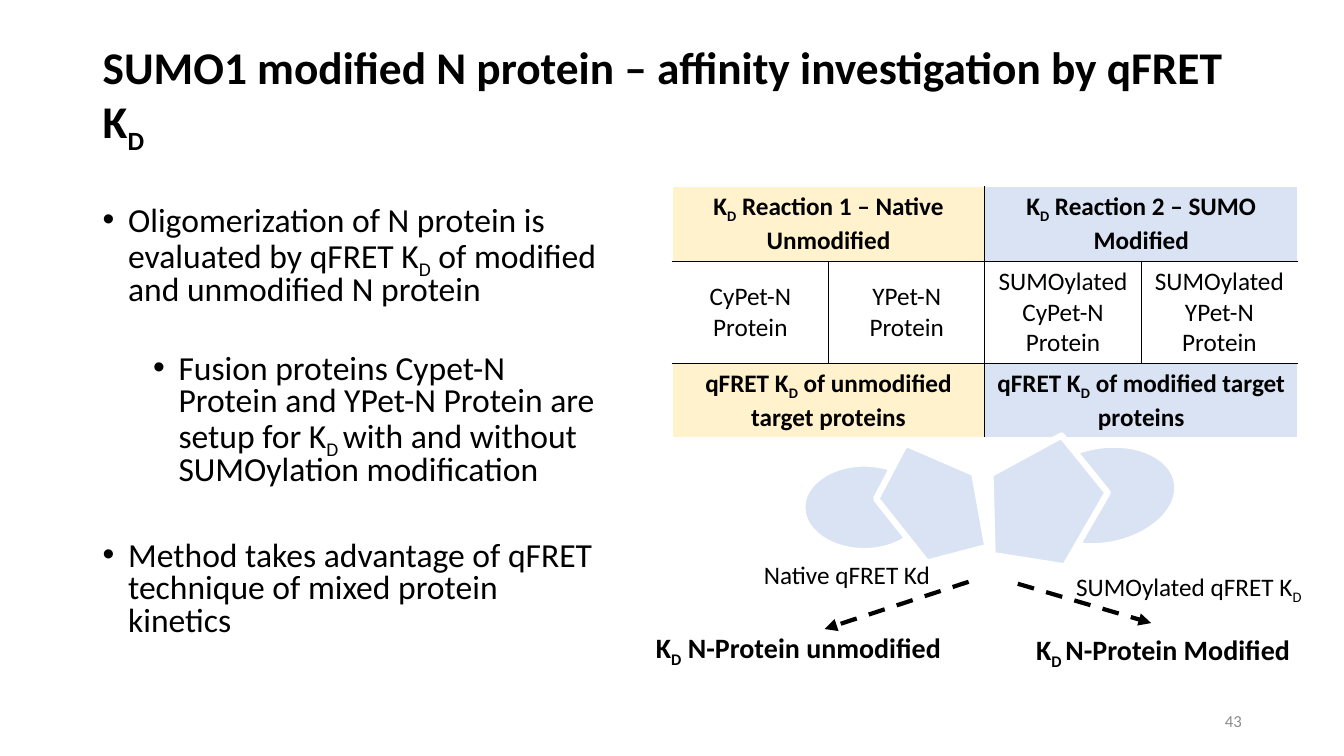
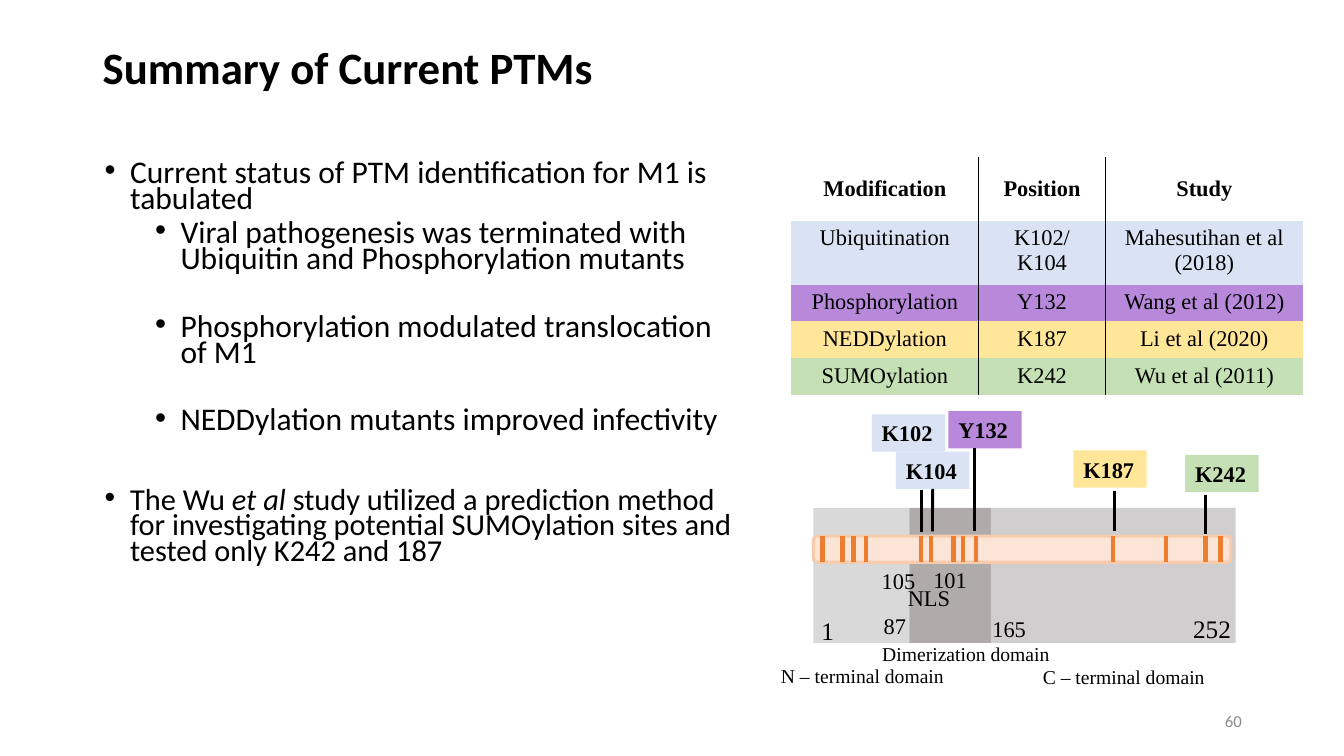
from itertools import accumulate

from lxml import etree
from pptx import Presentation
from pptx import util as u
from pptx.dml.color import RGBColor
from pptx.enum import dml, shapes, text
from pptx.oxml.ns import qn

COLOURS = {
    "ink": "000000", "paper": "FFFFFF", "page": "8C8C8C",
    "blue": "DAE3F3", "cream": "FFF2CC", "purple": "B889DB",
    "yellow": "FFE699", "green": "C5E0B4",
    "n_domain": "D9D9D9", "dimer_domain": "AFABAB", "c_domain": "D0CECE",
    "protein": "FBE5D6", "protein_edge": "F8CBAD", "site": "ED7D31",
}
SANS, SERIF = "Calibri", "Times New Roman"
LEFT, CENTER, RIGHT = text.PP_ALIGN.LEFT, text.PP_ALIGN.CENTER, text.PP_ALIGN.RIGHT
TOP, MIDDLE = text.MSO_ANCHOR.TOP, text.MSO_ANCHOR.MIDDLE
PLAIN_TABLE = "{2D5ABB26-0587-4C30-8999-92F81FD0307C}"


def rgb(name):
    return RGBColor.from_string(COLOURS[name])


def cm(*lengths):
    return [u.Cm(length) for length in lengths]


def write(paragraph, marked, size, font=SANS, bold=False, colour="ink"):
    """Add runs: text between ~ marks is subscript, between * marks italic."""
    for i, stretch in enumerate(marked.split("~")):
        for j, words in enumerate(stretch.split("*")):
            if not words:
                continue
            run = paragraph.add_run()
            run.text = words
            run.font.size, run.font.name = u.Pt(size), font
            run.font.bold, run.font.color.rgb = bold, rgb(colour)
            if j % 2:
                run.font.italic = True
            if i % 2:
                run._r.get_or_add_rPr().set("baseline", "-25000")


def add_label(slide, box, marked, size, font=SANS, bold=False, colour="ink",
              align=LEFT, anchor=TOP):
    frame = slide.shapes.add_textbox(*cm(*box)).text_frame
    frame.word_wrap, frame.vertical_anchor = True, anchor
    paragraph = frame.paragraphs[0]
    paragraph.alignment = align
    write(paragraph, marked, size, font, bold, colour)
    return paragraph


def add_block(slide, preset, box, fill, edge=None, edge_width=0, rotation=0):
    block = slide.shapes.add_shape(preset, *cm(*box))
    block.shadow.inherit = False
    block.fill.solid()
    block.fill.fore_color.rgb = rgb(fill)
    block.rotation = rotation
    if edge:
        block.line.color.rgb, block.line.width = rgb(edge), u.Pt(edge_width)
    else:
        block.line.fill.background()
    return block


def add_line(slide, start, end, width, colour="ink", dashed_arrow=False):
    line = slide.shapes.add_connector(
        shapes.MSO_CONNECTOR.STRAIGHT, *cm(*start, *end))
    line.line.color.rgb, line.line.width = rgb(colour), u.Pt(width)
    if dashed_arrow:
        line.line.dash_style = dml.MSO_LINE.DASH
        tail = etree.SubElement(line.line._get_or_add_ln(), qn("a:tailEnd"))
        tail.set("type", "triangle")
    etree.SubElement(line._element.spPr, qn("a:effectLst"))
    return line


def add_frame(prs, title, size, page):
    """Add a slide with the shared title and page number."""
    slide = prs.slides.add_slide(prs.slide_layouts[6])
    heading = add_label(slide, (2.34, 1.02, 30, 3.68), title, size, bold=True)
    heading.line_spacing = 0.9
    add_label(slide, (23.93, 17.65, 7.62, 1.02), str(page), 12,
              colour="page", align=RIGHT, anchor=MIDDLE)
    return slide


def add_bullets(slide, box, points, line_spacing):
    """Points are (level, size, space before, marked text)."""
    frame = slide.shapes.add_textbox(*cm(*box)).text_frame
    frame.word_wrap = True
    for i, (level, size, before, marked) in enumerate(points):
        paragraph = frame.add_paragraph() if i else frame.paragraphs[0]
        paragraph.level = level
        paragraph.line_spacing = line_spacing
        paragraph.space_before = u.Pt(before)
        props = paragraph._p.get_or_add_pPr()
        props.set("marL", str(u.Cm((0.64, 1.91)[level])))
        props.set("indent", str(-u.Cm(0.64)))
        etree.SubElement(props, qn("a:buFont")).set("typeface", "Arial")
        etree.SubElement(props, qn("a:buChar")).set("char", "•")
        write(paragraph, marked, size)


def add_grid(slide, left, top, widths, heights):
    table = slide.shapes.add_table(
        len(heights), len(widths),
        *cm(left, top, sum(widths), sum(heights))).table
    table.first_row = table.horz_banding = False
    table._tbl.tblPr.find(qn("a:tableStyleId")).text = PLAIN_TABLE
    for column, width in zip(table.columns, widths):
        column.width = u.Cm(width)
    for row, height in zip(table.rows, heights):
        row.height = u.Cm(height)
    return table


def fill_cell(cell, marked, size, font, bold, fill, anchor, borders):
    """Borders maps a side (L, R, T or B) to its colour."""
    props = cell._tc.get_or_add_tcPr()
    for side in "LRTB":
        if side in borders:
            edge = etree.SubElement(props, qn(f"a:ln{side}"), w=str(u.Pt(1)))
            paint = etree.SubElement(edge, qn("a:solidFill"))
            etree.SubElement(paint, qn("a:srgbClr"), val=COLOURS[borders[side]])
    if fill:
        cell.fill.solid()
        cell.fill.fore_color.rgb = rgb(fill)
    else:
        cell.fill.background()
    cell.vertical_anchor = anchor
    for i, line in enumerate(marked.split("\n")):
        frame = cell.text_frame
        paragraph = frame.add_paragraph() if i else frame.paragraphs[0]
        paragraph.alignment = CENTER
        write(paragraph, line, size, font, bold)


def add_reaction_table(slide, left, top):
    rows = [
        ["K~D~ Reaction 1 – Native Unmodified", "K~D~ Reaction 2 – SUMO Modified"],
        ["CyPet-N Protein", "YPet-N Protein",
         "SUMOylated CyPet-N Protein", "SUMOylated YPet-N Protein"],
        ["qFRET K~D~ of unmodified target proteins",
         "qFRET K~D~ of modified target proteins"],
    ]
    columns = 4
    table = add_grid(slide, left, top, [3.94] * columns, [1.88, 2.57, 1.88])
    for r, row in enumerate(rows):
        span = columns // len(row)
        for i, words in enumerate(row):
            c = i * span
            if span > 1:
                table.cell(r, c).merge(table.cell(r, c + span - 1))
            outer = {"L": c == 0, "R": c + span == columns,
                     "T": r == 0, "B": r == len(rows) - 1}
            borders = {side: "paper" if edge else "ink"
                       for side, edge in outer.items()}
            fill = ("cream", "blue")[i] if span > 1 else None
            fill_cell(table.cell(r, c), words, 18, SANS, span > 1, fill,
                      MIDDLE, borders)


def add_binding_diagram(slide, left, top):
    oval, pentagon = shapes.MSO_SHAPE.OVAL, shapes.MSO_SHAPE.REGULAR_PENTAGON
    for preset, x, y, width, height, rotation in [
            (oval, 3.94, 0.48, 3.12, 2.21, 0),
            (pentagon, 5.69, 0.28, 3.33, 2.34, 51.6),
            (oval, 9.63, 0.03, 3.78, 2.51, 349.5),
            (pentagon, 8.15, 0.05, 3.48, 2.79, 300)]:
        add_block(slide, preset, (left + x, top + y, width, height), "blue",
                  "paper", 4.5, rotation)
    for x1, y1, x2, y2 in [(8.13, 3.46, 4.5, 4.65), (9.37, 3.51, 12.73, 4.5)]:
        add_line(slide, (left + x1, top + y1), (left + x2, top + y2), 3,
                 dashed_arrow=True)
    for x, y, width, size, bold, words in [
            (10.59, 3.07, 6.68, 18, False, "SUMOylated qFRET K~D~"),
            (2.72, 2.77, 6.15, 18, False, "Native qFRET Kd"),
            (0, 4.57, 8, 20, True, "K~D~ N-Protein unmodified"),
            (9.58, 4.62, 8, 20, True, "K~D ~N-Protein Modified")]:
        add_label(slide, (left + x, top + y, width, 1.1), words, size, bold=bold)


def add_ptm_table(slide, left, top):
    rows = [
        (None, "Modification", "Position", "Study"),
        ("blue", "Ubiquitination", "K102/\nK104", "Mahesutihan et al (2018)"),
        ("purple", "Phosphorylation", "Y132", "Wang et al (2012)"),
        ("yellow", "NEDDylation", "K187", "Li et al (2020)"),
        ("green", "SUMOylation", "K242", "Wu et al (2011)"),
    ]
    table = add_grid(slide, left, top, [4.72, 3.2, 4.98],
                     [1.6, 1.6, 0.93, 0.93, 0.93])
    inner_sides = ["R", "LR", "L"]
    for r, (fill, *row) in enumerate(rows):
        header = r == 0
        for c, words in enumerate(row):
            fill_cell(table.cell(r, c), words, 16, SERIF, header, fill,
                      MIDDLE if header else TOP,
                      dict.fromkeys(inner_sides[c], "ink"))


def add_domain_map(slide, left, top):
    rectangle = shapes.MSO_SHAPE.RECTANGLE
    widths = [2.42, 2.05, 6.17]
    starts = accumulate(widths, initial=0)
    for x, width, fill in zip(starts, widths,
                              ["n_domain", "dimer_domain", "c_domain"]):
        add_block(slide, rectangle, (left + x, top + 2.44, width, 3.4), fill)

    tag_width, tag_height = 1.85, 0.94
    tags = {}
    for site, x, y, fill in [
            ("K102", 1.47, 0.08, "blue"), ("K104", 2.08, 1.02, "blue"),
            ("Y132", 3.4, 0, "purple"), ("K187", 6.55, 0.99, "yellow"),
            ("K242", 9.37, 1.1, "green")]:
        tag = add_block(slide, rectangle,
                        (left + x, top + y, tag_width, tag_height), fill)
        tag.text_frame.word_wrap = True
        paragraph = tag.text_frame.paragraphs[0]
        paragraph.alignment = LEFT
        write(paragraph, site, 16, SERIF, True)
        tags[site] = tag

    stems = {}
    for site, x, y1, y2 in [
            ("K102", 2.72, 1.98, 3.05), ("K104", 3, 1.96, 3.03),
            ("Y132", 4.06, 0.94, 3.03), ("K187", 7.59, 2.01, 3.03),
            ("K242", 9.88, 2.11, 3.1)]:
        stems[site] = add_line(slide, (left + x, top + y1), (left + x, top + y2), 2)
    stems["K104"].begin_connect(tags["K104"], 2)

    for x, y, width, size, align, words in [
            (-1.07, 6.25, 6.27, 14, LEFT, "N – terminal domain"),
            (5.53, 6.28, 6.27, 14, LEFT, "C – terminal domain"),
            (0.71, 5.69, 6.27, 14, CENTER, "Dimerization domain"),
            (-0.05, 5.01, 0.9, 18, LEFT, "1"),
            (1.52, 4.93, 1.22, 16, LEFT, "87"),
            (4.26, 5.01, 1.78, 16, LEFT, "165"),
            (9.32, 4.96, 1.78, 18, LEFT, "252"),
            (2.77, 3.79, 1.5, 16, LEFT, "101"),
            (1.47, 3.81, 1.68, 16, LEFT, "105"),
            (2.13, 4.24, 2.08, 16, LEFT, "NLS")]:
        add_label(slide, (left + x, top + y, width, 0.94), words, size, SERIF,
                  align=align)

    bar_top, bar_height = top + 3.15, 0.66
    add_block(slide, shapes.MSO_SHAPE.ROUNDED_RECTANGLE,
              (left, bar_top, 10.52, bar_height), "protein", "protein_edge", 2.25)
    for x in [0.23, 0.73, 1.01, 1.32, 2.72, 2.97, 3.53, 3.76, 4.09,
              7.54, 8.89, 9.88, 10.26]:
        add_line(slide, (left + x, bar_top), (left + x, bar_top + bar_height),
                 3, "site")


def build_affinity_slide(prs):
    slide = add_frame(
        prs, "SUMO1 modified N protein – affinity investigation by qFRET K~D~",
        32.4, 43)
    add_bullets(slide, (2.34, 5.08, 13.16, 12.09), [
        (0, 24, 0, "Oligomerization of N protein is evaluated by qFRET K~D~ of "
                   "modified and unmodified N protein"),
        (1, 24, 33.4, "Fusion proteins Cypet-N Protein and YPet-N Protein are "
                      "setup for K~D ~with and without SUMOylation modification"),
        (0, 24, 38.4, "Method takes advantage of qFRET technique of mixed "
                      "protein kinetics"),
    ], 0.8)
    add_reaction_table(slide, 16.94, 4.7)
    add_binding_diagram(slide, 16.28, 11.2)


def build_summary_slide(prs):
    slide = add_frame(prs, "Summary of Current PTMs", 32, 60)
    add_bullets(slide, (2.39, 3.96, 16.46, 12.09), [
        (0, 22.5, 0, "Current status of PTM identification for M1 is tabulated"),
        (1, 22.5, 5, "Viral pathogenesis was terminated with Ubiquitin and "
                     "Phosphorylation mutants"),
        (1, 22.5, 29.2, "Phosphorylation modulated translocation of M1"),
        (1, 22.5, 29.2, "NEDDylation mutants improved infectivity"),
        (0, 21.7, 38.5, "The Wu *et al* study utilized a prediction method for "
                        "investigating potential SUMOylation sites and tested "
                        "only K242 and 187"),
    ], 0.7)
    add_ptm_table(slide, 19.94, 3.96)
    add_domain_map(slide, 20.5, 10.36)


def main():
    prs = Presentation()
    prs.slide_width, prs.slide_height = cm(33.87, 19.05)
    build_affinity_slide(prs)
    build_summary_slide(prs)
    prs.save("out.pptx")


if __name__ == "__main__":
    main()
